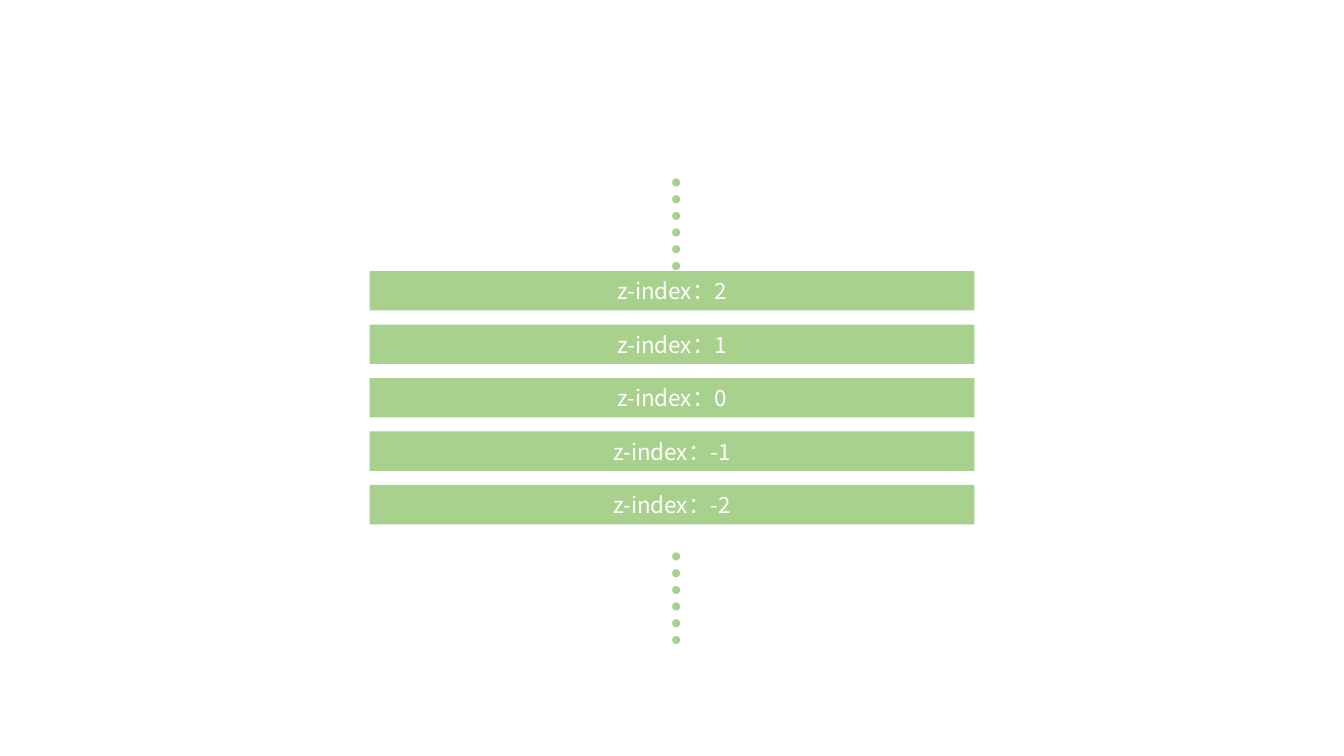
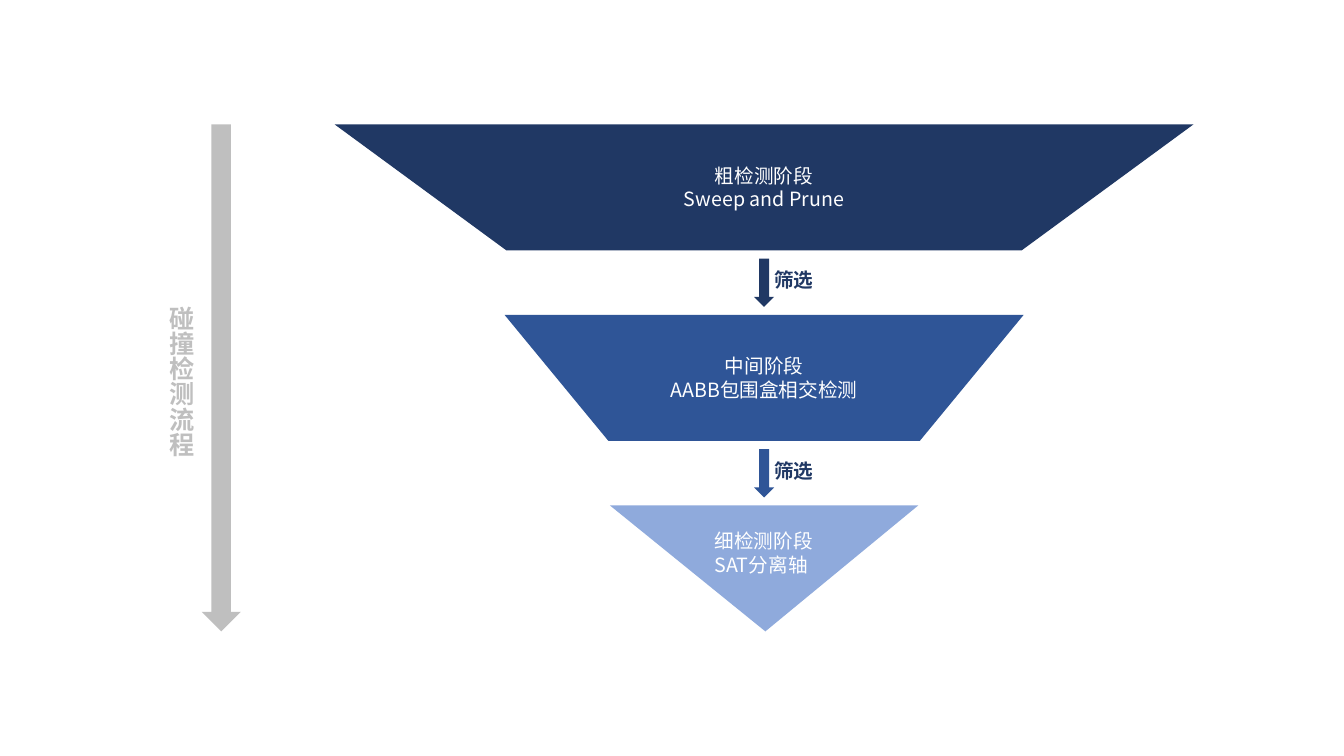
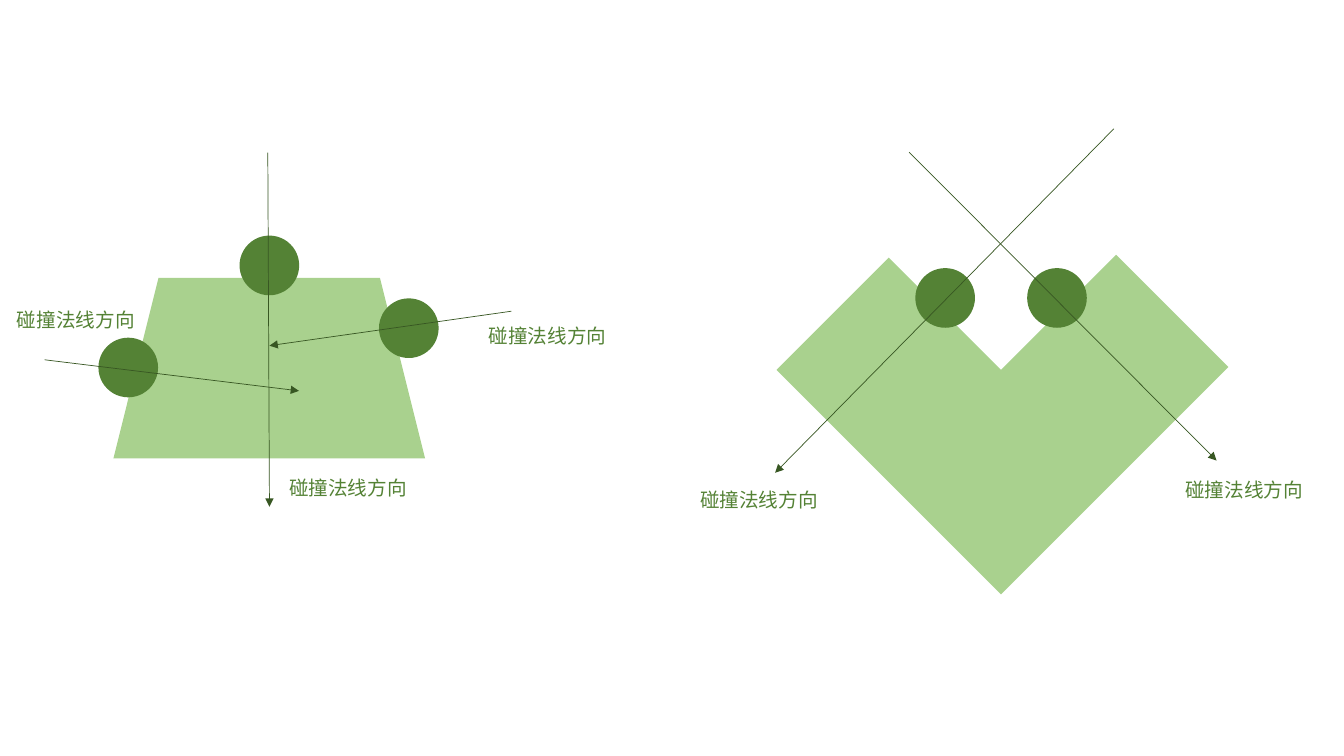
from pptx import Presentation
from pptx.util import Pt
from pptx.dml.color import RGBColor
from pptx.enum.shapes import MSO_SHAPE, MSO_CONNECTOR
from pptx.enum.text import PP_ALIGN, MSO_ANCHOR, MSO_AUTO_SIZE
from pptx.oxml.ns import qn
from lxml.etree import SubElement

FACE = "Noto Sans CJK SC"
WHITE, GREY = "FFFFFF", "BFBFBF"
LIME, GREEN, DARK = "A9D18E", "548235", "385723"
NAVY, BLUE, SKY = "203864", "2F5597", "8FAADC"


# Shared helpers
def paint(target, color):
    """Give a colour to a fill or to a font colour."""
    if hasattr(target, "solid"):
        target.solid()
        target = target.fore_color
    target.rgb = RGBColor.from_string(color)


def write(frame, text, size, color, bold=False, align=PP_ALIGN.LEFT):
    for i, line in enumerate(text.split("\n")):
        para = frame.paragraphs[0] if i == 0 else frame.add_paragraph()
        para.alignment = align
        run = para.add_run()
        run.text = line
        for key, val in {"size": Pt(size), "bold": bold, "name": FACE}.items():
            setattr(run.font, key, val)
        paint(run.font.color, color)
        SubElement(run.font._element, qn("a:ea"), typeface=FACE)


def block(slide, kind, box, color, text="", size=14):
    shape = slide.shapes.add_shape(kind, *map(Pt, box))
    shape.shadow.inherit = False
    paint(shape.fill, color)
    shape.line.fill.background()
    if text:
        shape.text_frame.vertical_anchor = MSO_ANCHOR.MIDDLE
        write(shape.text_frame, text, size, WHITE, align=PP_ALIGN.CENTER)
    return shape


def label(slide, box, text, size, color, bold=False, upright=False):
    frame = slide.shapes.add_textbox(*map(Pt, box)).text_frame
    form = {"word_wrap": False, "auto_size": MSO_AUTO_SIZE.SHAPE_TO_FIT_TEXT}
    for key, val in form.items():
        setattr(frame, key, val)
    if upright:
        frame._txBody.bodyPr.set("vert", "eaVert")
    write(frame, text, size, color, bold)


def arrow(slide, ends, color):
    line = slide.shapes.add_connector(MSO_CONNECTOR.STRAIGHT, *map(Pt, ends))
    paint(line.line.fill, color)
    line.line.width = Pt(0.5)
    SubElement(line.line._ln, qn("a:tailEnd"), type="triangle")
    SubElement(line._element.spPr, qn("a:effectLst"))


# Layers: a stack of bars between two dotted trails
def layers(slide, box, levels):
    x, y, w, h = box
    bar, step, top = 28.2, 38.2, 76.2
    for i, level in enumerate(levels):
        spot = (x, y + top + i * step, w, bar)
        block(slide, MSO_SHAPE.RECTANGLE, spot, LIME, f"z-index：{level}", 16)
    dot_w, dot_h = 58.3, 66.2
    for dot_y in (y, y + h - dot_h):
        spot = (x + (w - dot_w) / 2, dot_y, dot_w, dot_h)
        label(slide, spot, "……", 36, LIME, True, True)


# Flow: a long arrow with its vertical caption
def flow(slide, box):
    x, y, w, h = box
    block(slide, MSO_SHAPE.DOWN_ARROW, (x + w - 28, y, 28, h), GREY)
    label(slide, (x, y + 122.8, 36.3, 116.6), "碰撞检测流程", 18, GREY, True, True)


# Funnel: narrowing stages with a filter arrow between them
def funnel(slide, box, stages):
    x, y, w, h = box
    mid, high = x + w / 2, 90
    step = (h - high) / (len(stages) - 1)
    for i, (wide, color, text) in enumerate(stages):
        top = y + i * step
        spot = (mid - wide / 2, top, wide, high)
        if i == len(stages) - 1:
            tip = block(slide, MSO_SHAPE.ISOSCELES_TRIANGLE, spot, color)
            tip.rotation = 180
            tip.adjustments[0] = 0.496
            label(slide, (mid - 42.5, top + 13.3, 85, 41), text, 14, WHITE)
        else:
            block(slide, MSO_SHAPE.FLOWCHART_MANUAL_OPERATION, spot, color, text)
            gap = (mid - 7.2, top + high + 6, 14.4, 34.4)
            block(slide, MSO_SHAPE.DOWN_ARROW, gap, color)
            label(slide, (mid, top + 99.2, 42.5, 24.5), "筛选", 14, NAVY, True)


# Scene: a solid hit by balls, with the normals and their names
def scene(slide, x, y, kind, body, turn, balls, rays, names):
    left, top, w, h = body
    block(slide, kind, (x + left, y + top, w, h), LIME).rotation = turn
    for bx, by in balls:
        block(slide, MSO_SHAPE.OVAL, (x + bx, y + by, 42.6, 42.6), GREEN)
    for x1, y1, x2, y2 in rays:
        arrow(slide, (x + x1, y + y1, x + x2, y + y2), DARK)
    for nx, ny in names:
        label(slide, (x + nx, y + ny, 99.4, 24.5), "碰撞法线方向", 14, GREEN)


def main():
    deck = Presentation()
    deck.slide_width, deck.slide_height = Pt(960), Pt(540)
    blank = deck.slide_layouts[6]
    stack, sieve, hits = (deck.slides.add_slide(blank) for _ in range(3))

    layers(stack, (264, 117.4, 432, 333.4), (2, 1, 0, -1, -2))

    flow(sieve, (107.3, 88.8, 64.7, 362.2))
    funnel(sieve, (239, 88.8, 613.6, 362.2), [
        (613.6, NAVY, "粗检测阶段\nSweep and Prune"),
        (370.8, BLUE, "中间阶段\nAABB包围盒相交检测"),
        (220.3, SKY, "细检测阶段\nSAT分离轴"),
    ])

    scene(hits, 493, 92, MSO_SHAPE.CORNER, (108.2, 57.8, 229.7, 226.8), 315,
          balls=[(160.8, 99.5), (240.7, 99.5)],
          rays=[(302.6, 0, 60.7, 245.7), (156.4, 16.7, 376, 237)],
          names=[(0, 252.9), (346.5, 245.7)])
    scene(hits, 5, 109, MSO_SHAPE.TRAPEZOID, (76, 89.4, 222.6, 129), 0,
          balls=[(265.7, 104.1), (65.3, 132.2), (166.1, 59.3)],
          rays=[(360.3, 113.3, 187.5, 137.9), (26.9, 148, 208.6, 170.2),
                (186.3, 0, 187.5, 253)],
          names=[(337, 118.5), (194.4, 227.2), (0, 107.7)])

    deck.save("out.pptx")


if __name__ == "__main__":
    main()
